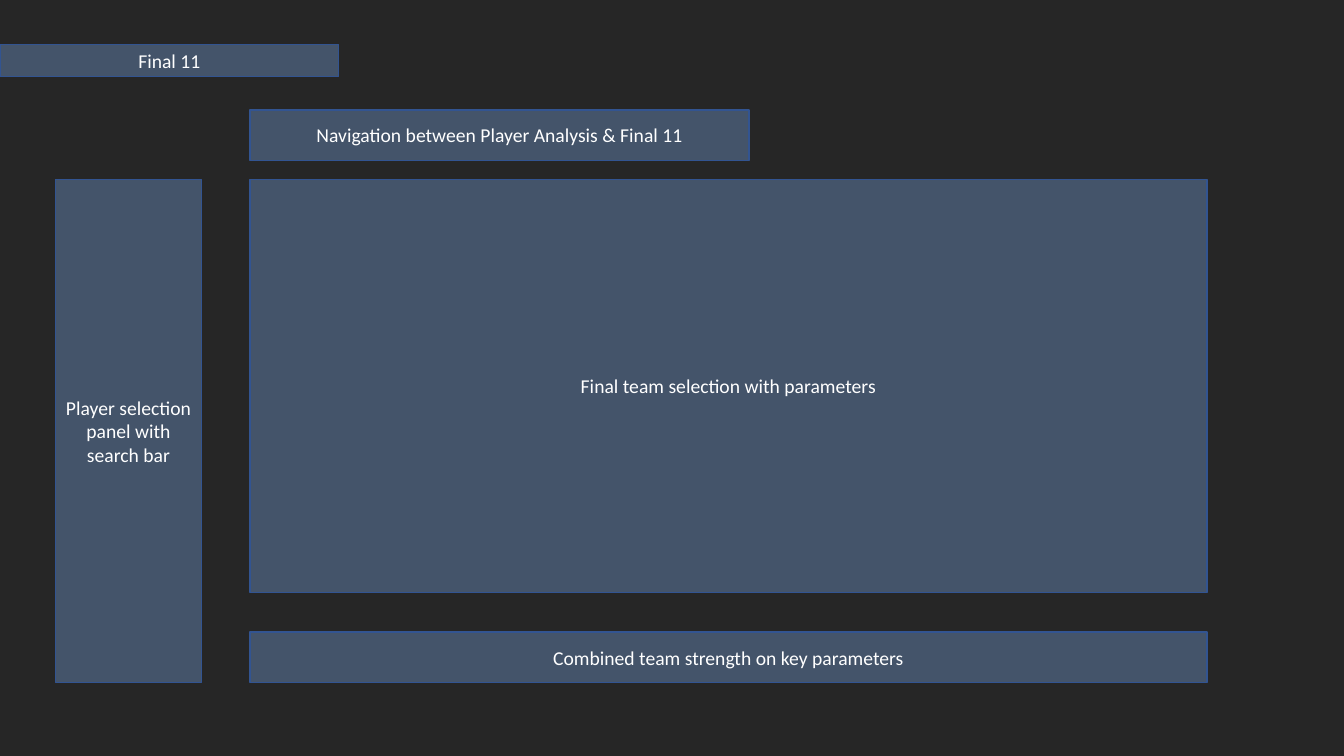
from pptx import Presentation
from pptx.dml.color import RGBColor
from pptx.enum.shapes import MSO_SHAPE
from pptx.enum.text import MSO_ANCHOR, MSO_AUTO_SIZE, PP_ALIGN
from pptx.util import Inches, Pt

RECTANGLE = MSO_SHAPE.RECTANGLE
MIDDLE = MSO_ANCHOR.MIDDLE
CENTER = PP_ALIGN.CENTER
NO_AUTOFIT = MSO_AUTO_SIZE.NONE
TITLE_ONLY = 5

COLORS = {
    "background": "262626",
    "panel": "44546A",
    "outline": "325491",
    "text": "FFFFFF",
}


def color(name):
    """Return the named palette colour."""
    return RGBColor.from_string(COLORS[name])


def write_text(shape, text, size=14, font="Calibri", ink="text", align=CENTER):
    """Write formatted text into a shape, centred vertically."""
    frame = shape.text_frame
    frame.word_wrap = True
    frame.auto_size = NO_AUTOFIT
    frame.vertical_anchor = MIDDLE
    para = frame.paragraphs[0]
    para.alignment = align
    span = para.add_run()
    span.text = text
    span.font.size = Pt(size)
    span.font.name = font
    span.font.color.rgb = color(ink)


def style_panel(shape, text):
    """Give a shape the wireframe panel look and its label."""
    shape.fill.solid()
    shape.fill.fore_color.rgb = color("panel")
    shape.line.color.rgb = color("outline")
    shape.line.width = Pt(1)
    write_text(shape, text)


def add_panel(group, text, left, top, width, height):
    """Add one labelled wireframe panel to a group."""
    box = [Inches(value) for value in (left, top, width, height)]
    panel = group.shapes.add_shape(RECTANGLE, *box)
    panel.shadow.inherit = False
    style_panel(panel, text)


def place_title(page, text, left, top, width, height):
    """Turn the title placeholder into the page tab."""
    title = page.shapes.title
    title.left, title.top = Inches(left), Inches(top)
    title.width, title.height = Inches(width), Inches(height)
    style_panel(title, text)


def add_wireframe(page, left, top, width, height):
    """Lay out the dashboard panels inside the given box."""
    bar_height, side_width, main_height = 0.5, 1.45, 4.1
    main_left = left + 1.93
    main_top = top + 0.69
    main_width = left + width - main_left
    bottom = top + height
    group = page.shapes.add_group_shape()
    add_panel(group, "Final team selection with parameters",
              main_left, main_top, main_width, main_height)
    add_panel(group, "Combined team strength on key parameters",
              main_left, bottom - bar_height, main_width, bar_height)
    add_panel(group, "Navigation between Player Analysis & Final 11",
              main_left, top, 4.95, bar_height)
    add_panel(group, "Player selection panel with search bar",
              left, main_top, side_width, bottom - main_top)


def main():
    """Build and save the deck."""
    deck = Presentation()
    deck.slide_width, deck.slide_height = Inches(13.33), Inches(7.5)
    page = deck.slides.add_slide(deck.slide_layouts[TITLE_ONLY])
    page.background.fill.solid()
    page.background.fill.fore_color.rgb = color("background")
    place_title(page, "Final 11", 0, 0.44, 3.36, 0.32)
    add_wireframe(page, 0.55, 1.09, 11.42, 5.68)
    deck.save("out.pptx")


if __name__ == "__main__":
    main()
